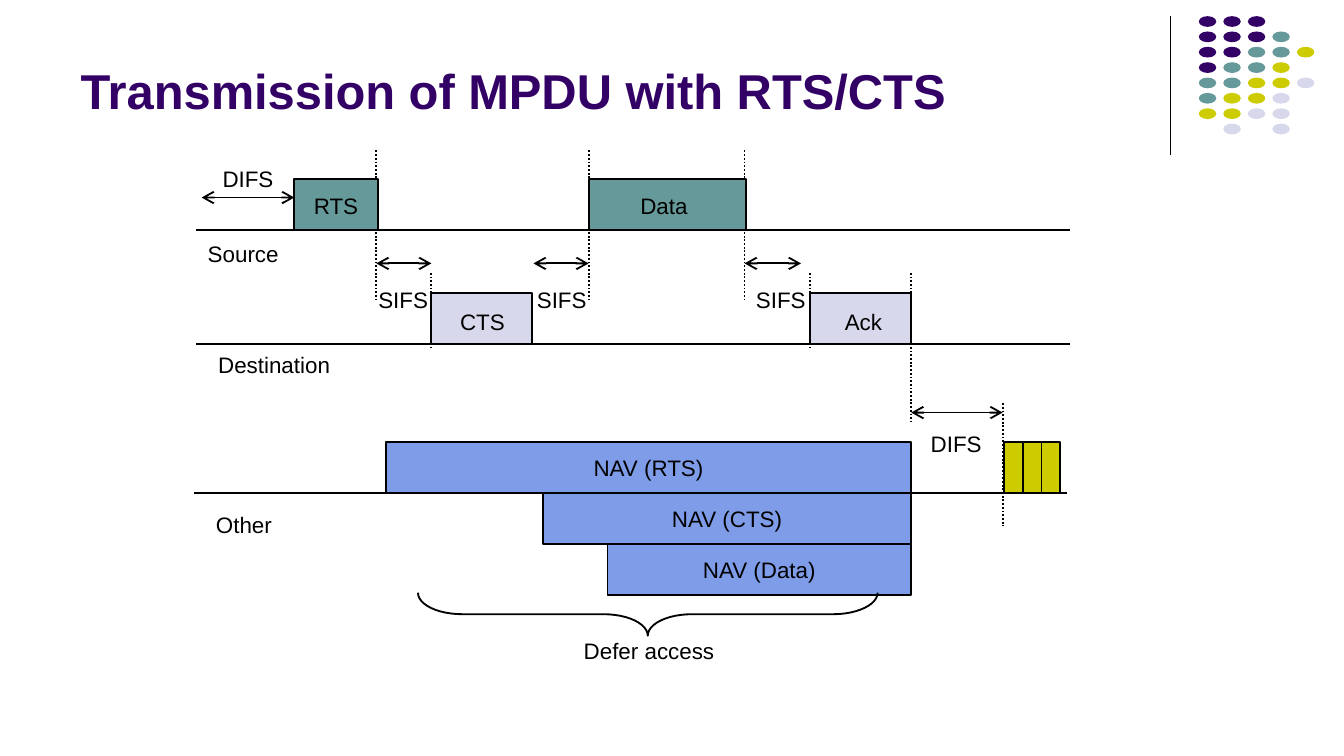
from typing import NamedTuple, Optional

from lxml import etree
from pptx import Presentation
from pptx.dml.color import RGBColor
from pptx.enum.dml import MSO_LINE
from pptx.enum.shapes import MSO_CONNECTOR, MSO_SHAPE
from pptx.enum.text import MSO_ANCHOR, PP_ALIGN
from pptx.oxml.ns import qn
from pptx.util import Inches, Pt

STRAIGHT = MSO_CONNECTOR.STRAIGHT
RECTANGLE, OVAL, BRACE = MSO_SHAPE.RECTANGLE, MSO_SHAPE.OVAL, MSO_SHAPE.LEFT_BRACE
DOTTED = MSO_LINE.ROUND_DOT
MIDDLE, BOTTOM = MSO_ANCHOR.MIDDLE, MSO_ANCHOR.BOTTOM
LEFT, CENTER = PP_ALIGN.LEFT, PP_ALIGN.CENTER

BLACK = RGBColor(0x00, 0x00, 0x00)
PURPLE = RGBColor(0x33, 0x00, 0x66)
TEAL = RGBColor(0x66, 0x99, 0x99)
YELLOW = RGBColor(0xCC, 0xCC, 0x00)
LAVENDER = RGBColor(0xD8, 0xD8, 0xEC)
BLUE = RGBColor(0x7E, 0x9C, 0xE8)

SLIDE_WIDTH = Inches(10)
SLIDE_HEIGHT = SLIDE_WIDTH * 9 // 16
FRAME_HEIGHT = 0.38
LABEL_HEIGHT = 0.28


class Frame(NamedTuple):
    left: float
    top: float
    width: float
    color: RGBColor
    text: str = ""


class Label(NamedTuple):
    text: str
    left: float
    top: float
    width: float


class Marker(NamedTuple):
    x: float
    top: float
    bottom: float


class Interval(NamedTuple):
    start: float
    end: float
    y: float


# Axes of source, destination and other stations
AXES = [Interval(1.46, 7.96, 1.71), Interval(1.46, 7.96, 2.56),
        Interval(1.44, 7.94, 3.67)]

FRAMES = [
    Frame(2.19, 1.33, 0.62, TEAL),
    Frame(4.38, 1.33, 1.17, TEAL),
    Frame(3.21, 2.18, 0.75, LAVENDER),
    Frame(6.03, 2.18, 0.75, LAVENDER),
    Frame(2.87, 3.29, 3.91, BLUE, "NAV (RTS)"),
    Frame(4.04, 3.67, 2.74, BLUE, "NAV (CTS)"),
    Frame(4.52, 4.05, 2.26, BLUE, "NAV (Data)"),
]
SLOT_LEFT, SLOT_WIDTH, SLOT_COUNT = 7.47, 0.14, 3
FRAMES += [Frame(SLOT_LEFT + i * SLOT_WIDTH, 3.29, SLOT_WIDTH, YELLOW)
           for i in range(SLOT_COUNT)]

MARKERS = [Marker(x, 1.12, 2.24) for x in (2.8, 4.38, 5.54)]
MARKERS += [Marker(x, 2.03, 2.59) for x in (3.21, 6.03)]
MARKERS += [Marker(6.78, 2.03, 3.14), Marker(7.46, 3, 3.91)]

GAPS = [Interval(1.5, 2.19, 1.47), Interval(2.8, 3.21, 1.96),
        Interval(3.97, 4.38, 1.96), Interval(5.54, 5.96, 1.96),
        Interval(6.78, 7.46, 3.07)]

LABELS = [
    Label("RTS", 2.22, 1.39, 0.56),
    Label("Data", 4.65, 1.39, 0.58),
    Label("CTS", 3.28, 2.25, 0.62),
    Label("Ack", 6.16, 2.25, 0.53),
    Label("Source", 1.43, 1.75, 0.76),
    Label("Destination", 1.5, 2.57, 1.08),
    Label("Other", 1.49, 3.76, 0.65),
    Label("DIFS", 1.54, 1.19, 0.61),
    Label("DIFS", 6.81, 3.16, 0.61),
    Label("Defer access", 4.11, 4.7, 1.44),
]
LABELS += [Label("SIFS", left, 2.09, 0.6) for left in (2.7, 3.88, 5.51)]

# Corner ornament, one letter per dot
DOT_COLORS = {"P": PURPLE, "T": TEAL, "Y": YELLOW, "L": LAVENDER}
DOT_ROWS = ["PPP", "PPPT", "PPTTY", "PTTY", "TTYYL", "TYYL", "YYLL", ".L.L"]
DOT_LEFT, DOT_RIGHT = 8.92, 9.65
DOT_TOP, DOT_BOTTOM = 0.12, 0.92


def write_text(frame, text: str, *, size: float = 12, color: RGBColor = BLACK,
               bold: bool = False, align=CENTER, anchor=MIDDLE,
               wrap: bool = False) -> None:
    frame.word_wrap = wrap
    frame.vertical_anchor = anchor
    paragraph = frame.paragraphs[0]
    paragraph.alignment = align
    run = paragraph.add_run()
    run.text = text
    font = run.font
    font.name, font.size, font.bold = "Arial", Pt(size), bold
    font.color.rgb = color


def draw_shape(slide, kind, left: float, top: float, width: float, height: float,
               fill: Optional[RGBColor] = None, outlined: bool = True):
    shape = slide.shapes.add_shape(kind, Inches(left), Inches(top),
                                   Inches(width), Inches(height))
    shape.shadow.inherit = False
    if fill is None:
        shape.fill.background()
    else:
        shape.fill.solid()
        shape.fill.fore_color.rgb = fill
    if outlined:
        shape.line.color.rgb = BLACK
        shape.line.width = Pt(1)
    else:
        shape.line.fill.background()
    return shape


def draw_line(slide, x1: float, y1: float, x2: float, y2: float, *,
              width: float = 1, dash=None, arrows: bool = False) -> None:
    line = slide.shapes.add_connector(STRAIGHT, Inches(x1), Inches(y1),
                                      Inches(x2), Inches(y2))
    line.line.color.rgb = BLACK
    line.line.width = Pt(width)
    if dash is not None:
        line.line.dash_style = dash
    properties = line._element.spPr
    if arrows:
        outline = properties.find(qn("a:ln"))
        for end in ("a:headEnd", "a:tailEnd"):
            etree.SubElement(outline, qn(end), type="arrow")
    etree.SubElement(properties, qn("a:effectLst"))


def draw_ornament(slide) -> None:
    draw_line(slide, 8.71, 0.12, 8.71, 1.15, width=0.75)
    step_x = (DOT_RIGHT - DOT_LEFT) / (max(map(len, DOT_ROWS)) - 1)
    step_y = (DOT_BOTTOM - DOT_TOP) / (len(DOT_ROWS) - 1)
    for row, letters in enumerate(DOT_ROWS):
        for column, letter in enumerate(letters):
            if letter in DOT_COLORS:
                draw_shape(slide, OVAL, DOT_LEFT + column * step_x,
                           DOT_TOP + row * step_y, 0.13, 0.08,
                           DOT_COLORS[letter], outlined=False)


def draw_timing(slide) -> None:
    for axis in AXES:
        draw_line(slide, axis.start, axis.y, axis.end, axis.y)
    for marker in MARKERS:
        draw_line(slide, marker.x, marker.top, marker.x, marker.bottom, dash=DOTTED)
    for frame in FRAMES:
        box = draw_shape(slide, RECTANGLE, frame.left, frame.top, frame.width,
                         FRAME_HEIGHT, frame.color)
        if frame.text:
            write_text(box.text_frame, frame.text)
    for gap in GAPS:
        draw_line(slide, gap.start, gap.y, gap.end, gap.y, arrows=True)

    # Brace under the NAV bars, turned to point down
    brace = draw_shape(slide, BRACE, 4.66, 2.86, 0.32, 3.42)
    brace.rotation = 270
    brace.adjustments[0] = 1.03

    for label in LABELS:
        box = slide.shapes.add_textbox(Inches(label.left), Inches(label.top),
                                       Inches(label.width), Inches(LABEL_HEIGHT))
        write_text(box.text_frame, label.text)


def main() -> None:
    presentation = Presentation()
    presentation.slide_width = SLIDE_WIDTH
    presentation.slide_height = SLIDE_HEIGHT
    slide = presentation.slides.add_slide(presentation.slide_layouts[5])
    title = slide.shapes.title
    title.left, title.top = Inches(0.5), Inches(0.1)
    title.width, title.height = Inches(8.25), Inches(0.84)
    write_text(title.text_frame, "Transmission of MPDU with RTS/CTS", size=26.2,
               color=PURPLE, bold=True, align=LEFT, anchor=BOTTOM, wrap=True)
    draw_ornament(slide)
    draw_timing(slide)
    presentation.save("out.pptx")


if __name__ == "__main__":
    main()
